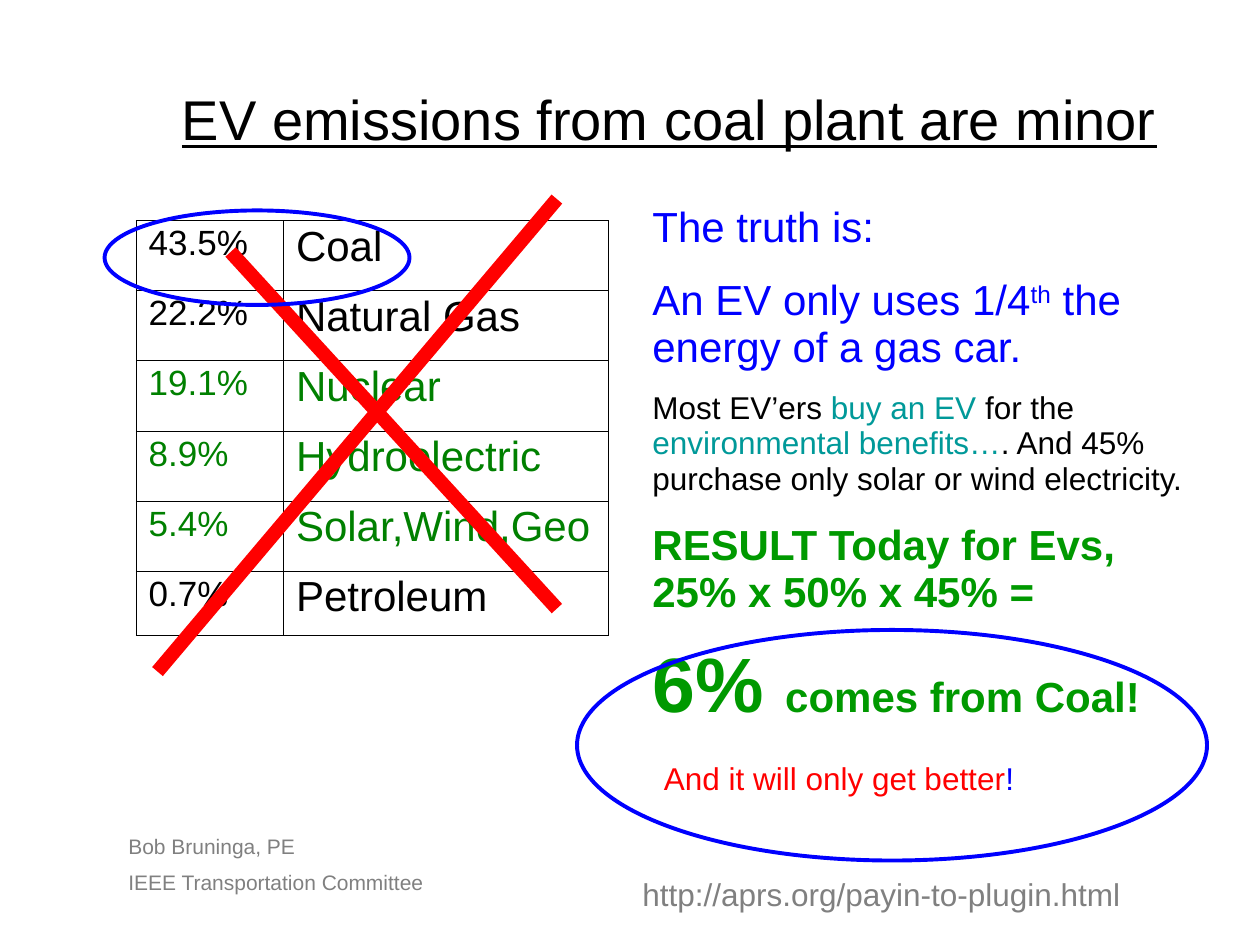
from lxml import etree
from pptx import Presentation
from pptx.dml.color import RGBColor
from pptx.enum.shapes import MSO_CONNECTOR as Connector, MSO_SHAPE as Shape
from pptx.enum.text import MSO_ANCHOR as Anchor, PP_ALIGN as Align
from pptx.oxml.ns import qn
from pptx.util import Inches, Pt

BLACK, WHITE, GREY = "000000", "FFFFFF", "808080"
BLUE, RED, TEAL = "0000FF", "FF0000", "009999"
GREEN, DARK_GREEN = "009900", "008000"
INSETS = (0.1, 0.05, 0.1, 0.05)

ENERGY_MIX = [
    ("43.5%", "Coal", BLACK),
    ("22.2%", "Natural Gas", BLACK),
    ("19.1%", "Nuclear", DARK_GREEN),
    ("8.9%", "Hydroelectric", DARK_GREEN),
    ("5.4%", "Solar,Wind,Geo", DARK_GREEN),
    ("0.7%", "Petroleum", BLACK),
]

BIG_BLUE = {"size": 24, "color": BLUE}
BODY = {"size": 18, "color": BLACK}
BODY_TEAL = {"size": 18, "color": TEAL}
RESULT = {"size": 24, "color": GREEN, "bold": True}
CREDIT = {"size": 12, "color": GREY}

ARGUMENT = [
    (0, [("The truth is:", BIG_BLUE)]),
    (15, [("An EV only uses 1/4", BIG_BLUE),
          ("th", {**BIG_BLUE, "baseline": 30}),
          (" the energy of a gas car.", BIG_BLUE)]),
    (11.2, [("Most EV’ers ", BODY), ("buy an EV", BODY_TEAL), (" for the ", BODY),
            ("environmental benefits…", BODY_TEAL),
            (". And 45% purchase only solar or wind electricity.", BODY)]),
    (15, [("RESULT Today for Evs, 25% x 50% x 45% =", RESULT)]),
    (15, [("6% ", {**RESULT, "size": 44}), ("comes from Coal!", RESULT)]),
]


def rgb(value):
    """Turn a hex string into a colour."""
    return RGBColor.from_string(value)


def add_span(para, text, size, color, baseline=0, **formats):
    """Append one formatted run of text."""
    span = para.add_run()
    span.text = text
    span.font.color.rgb = rgb(color)
    for name, value in {"name": "Arial", "size": Pt(size), **formats}.items():
        setattr(span.font, name, value)
    if baseline:
        span._r.get_or_add_rPr().set("baseline", str(baseline * 1000))


def fill_frame(frame, paragraphs, align=Align.LEFT):
    """Write paragraphs given as space before and spans."""
    for index, (space, spans) in enumerate(paragraphs):
        para = frame.add_paragraph() if index else frame.paragraphs[0]
        formats = {"alignment": align, "line_spacing": 0.93, "space_before": Pt(space)}
        for name, value in formats.items():
            setattr(para, name, value)
        for text, style in spans:
            add_span(para, text, **style)


def add_text(page, box, paragraphs, insets=INSETS, anchor=Anchor.TOP, align=Align.LEFT):
    """Place a wrapping text box."""
    frame = page.shapes.add_textbox(*map(Inches, box)).text_frame
    sides = ("margin_left", "margin_top", "margin_right", "margin_bottom")
    formats = {"word_wrap": True, "vertical_anchor": anchor,
               **dict(zip(sides, map(Inches, insets)))}
    for name, value in formats.items():
        setattr(frame, name, value)
    fill_frame(frame, paragraphs, align)


def add_borders(cell, color, points):
    """Draw a thin line on every side of a cell."""
    properties = cell._tc.get_or_add_tcPr()
    for side in ("lnL", "lnR", "lnT", "lnB"):
        line = etree.SubElement(properties, qn(f"a:{side}"), w=str(Pt(points)))
        fill = etree.SubElement(line, qn("a:solidFill"))
        etree.SubElement(fill, qn("a:srgbClr"), val=color)


def add_energy_table(page, box):
    """Place the table of energy sources and their shares."""
    left, top, width, height = box
    frame = page.shapes.add_table(len(ENERGY_MIX), 2, *map(Inches, box))
    table = frame.table
    table.first_row = table.horz_banding = False
    share_width, last_height = 1.17, 0.51
    table.columns[0].width = Inches(share_width)
    table.columns[1].width = Inches(width - share_width)
    row_height = (height - last_height) / (len(ENERGY_MIX) - 1)
    for index, (share, source, color) in enumerate(ENERGY_MIX):
        is_last = index == len(ENERGY_MIX) - 1
        table.rows[index].height = Inches(last_height if is_last else row_height)
        for column, (text, size) in enumerate([(share, 20), (source, 24)]):
            cell = table.cell(index, column)
            add_borders(cell, BLACK, 0.11)
            cell.fill.solid()
            cell.fill.fore_color.rgb = rgb(WHITE)
            style = {"size": size, "color": color}
            fill_frame(cell.text_frame, [(0, [(text, style)])])


def add_stroke(page, start, end):
    """Draw one thick red line of the cross."""
    points = map(Inches, (*start, *end))
    stroke = page.shapes.add_connector(Connector.STRAIGHT, *points)
    stroke.line.color.rgb = rgb(RED)
    stroke.line.width = Pt(8)
    etree.SubElement(stroke._element.spPr, qn("a:effectLst"))


def add_ring(page, box):
    """Circle a region with a blue ellipse."""
    ring = page.shapes.add_shape(Shape.OVAL, *map(Inches, box))
    ring.shadow.inherit = False
    ring.fill.background()
    ring.line.color.rgb = rgb(BLUE)
    ring.line.width = Pt(2.25)


def add_title(page, box):
    """Place the underlined title."""
    style = {"size": 32, "color": BLACK, "underline": True}
    add_text(page, box, [(0, [("EV emissions from coal plant are minor", style)])],
             (0, 0.03, 0, 0), Anchor.MIDDLE, Align.CENTER)


def add_footer(page, credit_box, link_box):
    """Place the author credit and the web address."""
    add_text(page, link_box, [
        (0, [("http://aprs.org/payin-to-plugin.html", {"size": 18, "color": GREY})])])
    add_text(page, credit_box, [
        (0, [("Bob Bruninga, PE", CREDIT)]),
        (7.5, [("IEEE Transportation Committee", CREDIT)])])


def main():
    """Build and save the slide."""
    deck = Presentation()
    deck.slide_width, deck.slide_height = Inches(10), Inches(7.5)
    page = deck.slides.add_slide(deck.slide_layouts[6])
    add_title(page, (1, 0.58, 8.63, 0.74))
    add_energy_table(page, (1.08, 1.75, 3.75, 3.29))
    add_stroke(page, (1.25, 5.33), (4.42, 1.58))
    add_stroke(page, (1.83, 2), (4.42, 4.83))
    add_text(page, (5.08, 1.58, 4.5, 4.26), ARGUMENT)
    add_footer(page, (0.92, 6.58, 2.58, 0.58), (5, 6.92, 4.08, 0.38))
    add_text(page, (5.17, 6, 4.08, 0.38), [
        (0, [("And it will only get better", {"size": 18, "color": RED}),
             ("!", {"size": 18, "color": BLUE})])])
    add_ring(page, (0.83, 1.67, 2.42, 0.75))
    add_ring(page, (4.58, 5, 5, 1.83))
    deck.save("out.pptx")


if __name__ == "__main__":
    main()
